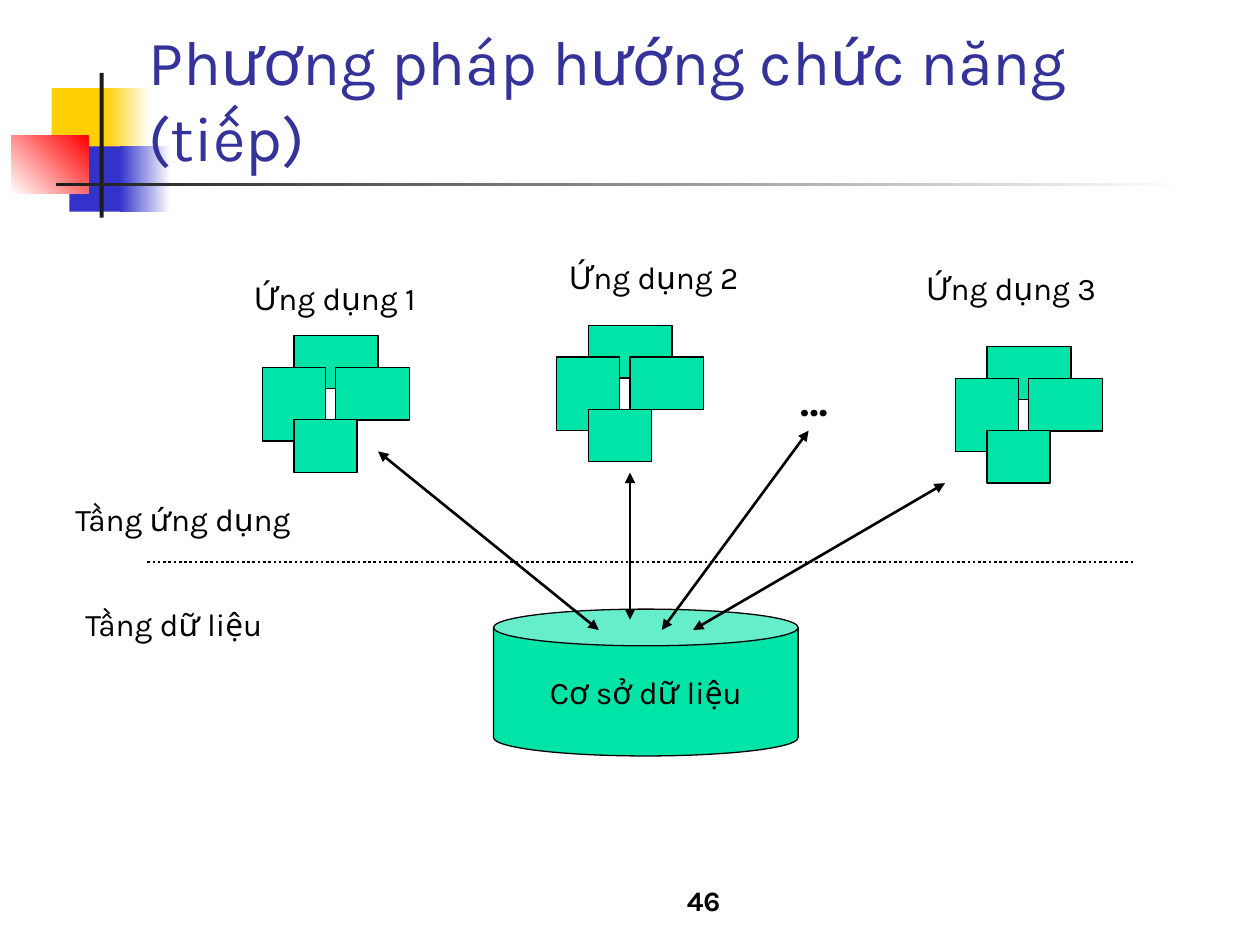
from dataclasses import dataclass

from lxml.etree import SubElement
from pptx import Presentation
from pptx.dml.color import RGBColor
from pptx.enum.dml import MSO_LINE
from pptx.enum.shapes import MSO_CONNECTOR, MSO_SHAPE
from pptx.enum.text import MSO_ANCHOR, MSO_AUTO_SIZE, PP_ALIGN
from pptx.oxml.ns import qn
from pptx.util import Cm, Pt


@dataclass(frozen=True)
class Theme:
    font: str = "Karla"
    ink: str = "000000"
    title: str = "333399"
    green: str = "00E4A8"
    yellow: str = "FFCF01"
    blue: str = "3333CC"
    red: str = "FF0000"
    bar: str = "1C1C1C"
    white: str = "FFFFFF"
    title_size: float = 36
    dots_size: float = 24
    label_size: float = 18
    number_size: float = 16
    outline: float = 0.75
    stroke: float = 1.5


THEME = Theme()

# Boxes of one application, from its top left corner: x, y, width, height
MODULES = [
    (0.64, 0, 1.69, 1.06),
    (1.48, 0.64, 1.48, 1.06),
    (0, 0.64, 1.27, 1.48),
    (0.64, 1.69, 1.27, 1.06),
]

# Name, label position, position of the boxes
APPLICATIONS = [
    ("Ứng dụng 1", (4.87, 5.5), (5.29, 6.77)),
    ("Ứng dụng 2", (11.22, 5.08), (11.22, 6.56)),
    ("Ứng dụng 3", (18.42, 5.29), (19.26, 6.99)),
]

# Ends of each data flow: application, database
DATA_FLOWS = [
    ((7.62, 9.1), (12.07, 12.7)),
    ((19.05, 9.74), (13.97, 12.7)),
    ((16.3, 8.68), (13.34, 12.7)),
    ((12.7, 9.53), (12.7, 12.49)),
]


def rgb(color):
    return RGBColor.from_string(color)


def style_text(frame, text, size, color=THEME.ink, bold=False, align=PP_ALIGN.LEFT):
    frame.text = text
    paragraph = frame.paragraphs[0]
    paragraph.alignment = align
    paragraph.font.name = THEME.font
    paragraph.font.size = Pt(size)
    paragraph.font.bold = bold
    paragraph.font.color.rgb = rgb(color)
    return paragraph


def add_block(shapes, box, color, fade_to=None, angle=0, outlined=False,
              kind=MSO_SHAPE.RECTANGLE):
    block = shapes.add_shape(kind, *map(Cm, box))
    block.shadow.inherit = False
    if fade_to:
        block.fill.gradient()
        block.fill.gradient_angle = angle
        for stop, stop_color, position in zip(
                block.fill.gradient_stops, (color, fade_to), (0, 1)):
            stop.color.rgb = rgb(stop_color)
            stop.position = position
    else:
        block.fill.solid()
        block.fill.fore_color.rgb = rgb(color)
    if outlined:
        block.line.color.rgb = rgb(THEME.ink)
        block.line.width = Pt(THEME.outline)
    else:
        block.line.fill.background()
    return block


def add_label(shapes, text, box, size=THEME.label_size, space=11.2, **style):
    frame = shapes.add_textbox(*map(Cm, box)).text_frame
    frame.word_wrap = True
    style_text(frame, text, size, **style).space_before = Pt(space)
    return frame


def add_line(shapes, start, end, arrows=False):
    line = shapes.add_connector(MSO_CONNECTOR.STRAIGHT, *map(Cm, start + end))
    line.line.color.rgb = rgb(THEME.ink)
    line.line.width = Pt(THEME.stroke)
    properties = line._element.spPr
    if arrows:
        for tag in ("a:headEnd", "a:tailEnd"):
            SubElement(properties.find(qn("a:ln")), qn(tag), type="triangle")
    SubElement(properties, qn("a:effectLst"))
    return line


def add_ornament(shapes):
    add_block(shapes, (1.04, 1.78, 1.22, 1.32), THEME.yellow)
    add_block(shapes, (2.11, 1.78, 0.91, 1.32), THEME.yellow, THEME.white)
    add_block(shapes, (1.4, 2.95, 1.17, 1.32), THEME.blue)
    add_block(shapes, (2.41, 2.95, 1.02, 1.32), THEME.blue, THEME.white)
    add_block(shapes, (0.23, 2.74, 1.55, 1.17), THEME.white, THEME.red, angle=45)
    add_block(shapes, (2.01, 1.47, 0.08, 2.92), THEME.bar)
    add_block(shapes, (1.12, 3.68, 22.86, 0.08), THEME.bar, THEME.white)


def place_title(slide, text):
    title = slide.shapes.title
    title.left, title.top, title.width, title.height = map(
        Cm, (2.74, 1.27, 22.02, 2.36))
    frame = title.text_frame
    frame.word_wrap = True
    frame.auto_size = MSO_AUTO_SIZE.NONE
    frame.vertical_anchor = MSO_ANCHOR.BOTTOM
    style_text(frame, text, THEME.title_size, THEME.title)
    # Bring the title in front of the ornament
    slide.shapes._spTree.append(title._element)


def add_database(shapes, text):
    database = add_block(shapes, (9.95, 12.28, 6.14, 2.96), THEME.green,
                         outlined=True, kind=MSO_SHAPE.CAN)
    database.adjustments[0] = 0.25
    frame = database.text_frame
    frame.word_wrap = False
    frame.vertical_anchor = MSO_ANCHOR.MIDDLE
    style_text(frame, text, THEME.label_size, align=PP_ALIGN.CENTER)


def add_application(shapes, name, label_at, boxes_at):
    modules = shapes.add_group_shape().shapes
    left, top = boxes_at
    for x, y, width, height in MODULES:
        add_block(modules, (left + x, top + y, width, height), THEME.green,
                  outlined=True)
    add_label(shapes, name, (*label_at, 5.08, 1.02))


def main():
    deck = Presentation()
    deck.slide_width, deck.slide_height = Cm(25.4), Cm(19.05)
    slide = deck.slides.add_slide(deck.slide_layouts[5])
    shapes = slide.shapes

    # Frame of the slide
    add_ornament(shapes)
    place_title(slide, "Phương pháp hướng chức năng (tiếp)")
    page_number = add_label(shapes, "46", (10.16, 17.35, 8.05, 1.27),
                            THEME.number_size, space=0, bold=True,
                            align=PP_ALIGN.CENTER)
    page_number.vertical_anchor = MSO_ANCHOR.BOTTOM

    # Database and applications
    add_database(shapes, "Cơ sở dữ liệu")
    for application in APPLICATIONS:
        add_application(shapes, *application)
    add_label(shapes, "…", (15.88, 7.42, 2.74, 1.27), THEME.dots_size,
              space=15, bold=True)

    # Border between the layers
    border = add_line(shapes, (2.97, 11.33), (22.86, 11.33))
    border.line.dash_style = MSO_LINE.ROUND_DOT
    add_label(shapes, "Tầng ứng dụng", (1.27, 9.96, 5.08, 1.78))
    add_label(shapes, "Tầng dữ liệu", (1.47, 12.07, 5.08, 1.02))

    # Data flows
    for application_end, database_end in DATA_FLOWS:
        add_line(shapes, application_end, database_end, arrows=True)

    deck.save("out.pptx")


if __name__ == "__main__":
    main()
